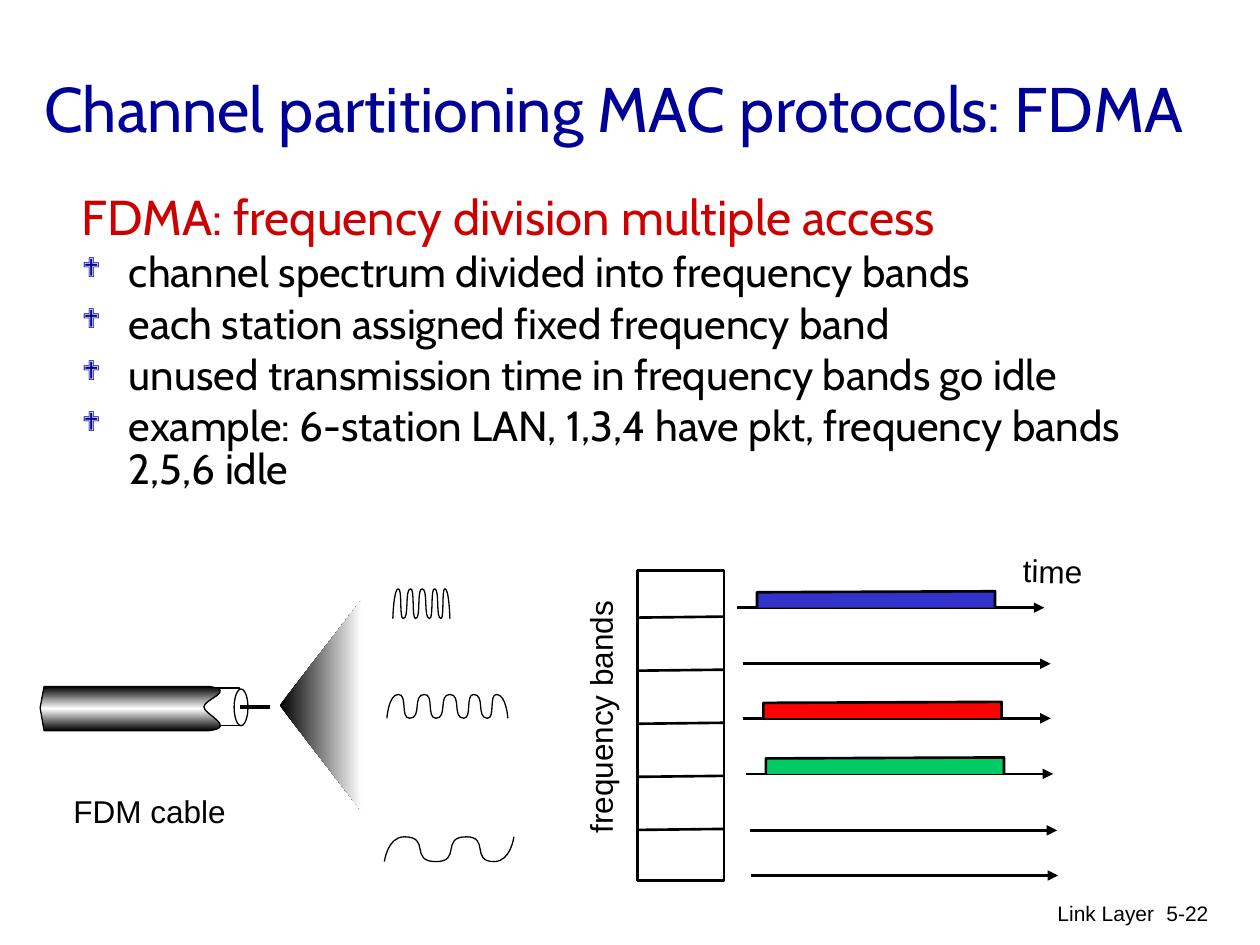
from lxml import etree
from pptx import Presentation
from pptx import util as u
from pptx.dml.color import RGBColor
from pptx.enum import shapes, text
from pptx.oxml.ns import qn

BLACK, WHITE, NAVY, CRIMSON = "000000", "FFFFFF", "000099", "CC0000"

# All lengths are centimetres.
TITLE = "Channel partitioning MAC protocols: FDMA"
HEADING = "FDMA: frequency division multiple access"
BULLETS = [
    "channel spectrum divided into frequency bands",
    "each station assigned fixed frequency band",
    "unused transmission time in frequency bands go idle",
    "example: 6-station LAN, 1,3,4 have pkt, frequency bands 2,5,6 idle",
]
# text, box, rotation
LABELS = [
    ("frequency bands", (9.5, 13.94, 5.21, 1.02), 270),
    ("time", (20.37, 11, 1.7, 1.02), 1.1),
    ("FDM cable", (1.23, 15.84, 3.58, 1.02), 0),
]
FOOTERS = [
    ("Link Layer", (15.47, 18.02, 8.05, 1.27)),
    ("5-22", (22.73, 18.02, 1.88, 1.27)),
]
BAND_BOX = (12.85, 11.5, 1.75, 6.25)
FIRST_DIVIDER, BAND_STEP, DIVIDERS = 12.45, 1.07, 5
# left, y, colour of the packet sent in this band
TIMELINES = [
    (14.85, 12.25, "3333CC"),
    (14.98, 13.38, None),
    (14.98, 14.48, "FF0000"),
    (15.03, 15.6, "00CC66"),
    (15.11, 16.74, None),
    (15.13, 17.65, None),
]
TIMELINE_W, PACKET_DX, PACKET_W, PACKET_H = 6.2, 0.41, 4.8, 0.31
# turning points from left to right, top, bottom
WAVES = [
    ([7.8, 8.03, 8.26, 8.56, 8.79, 9.07, 9.35, 9.55, 9.83, 10.01, 10.24],
     14, 14.48),
    ([7.92, 8.03, 8.13, 8.28, 8.38, 8.51, 8.66, 8.76, 8.89, 8.97, 9.07],
     11.87, 12.47),
    ([7.75, 8.15, 8.79, 9.4, 9.96, 10.36], 16.87, 17.37),
]
BEND = 0.85  # reach of a wave's curve handles, as a share of the half wave
CONE = [(7.29, 12.09), (5.64, 14.22), (7.29, 16.36)]
TUBE_LEFT = [(0.89, 13.84), (0.81, 14.27), (0.89, 14.73), (4.22, 14.73)]
TUBE_CUT = [  # two curves: handle, handle, end
    (4.78, 14.66), (4.11, 14.4), (4.11, 14.25),
    (4.11, 14.1), (4.78, 13.92), (4.22, 13.84),
]

prs = Presentation()
prs.slide_width, prs.slide_height = u.Cm(25.4), u.Cm(19.05)
s = prs.slides.add_slide(prs.slide_layouts[6])


def rgb(value):
    return RGBColor.from_string(value)


def cm(values):
    return [u.Cm(v) for v in values]


def style(sp, fill=None, line=BLACK, width=1.5):
    sp.shadow.inherit = False
    if fill:
        sp.fill.solid()
        sp.fill.fore_color.rgb = rgb(fill)
    else:
        sp.fill.background()
    if line:
        sp.line.color.rgb = rgb(line)
        sp.line.width = u.Pt(width)
    else:
        sp.line.fill.background()
    return sp


def add_gradient(sp, colours, angle):
    """Fill with evenly spaced colour stops."""
    sp.fill.gradient()
    sp.fill.gradient_angle = angle
    stops = sp._element.spPr.find(".//" + qn("a:gsLst"))
    for old in list(stops):
        stops.remove(old)
    for i, colour in enumerate(colours):
        pos = str(100000 * i // (len(colours) - 1))
        stop = etree.SubElement(stops, qn("a:gs"), pos=pos)
        etree.SubElement(stop, qn("a:srgbClr"), val=colour)


def add_shape(kind, box, fill, width):
    return style(s.shapes.add_shape(kind, *cm(box)), fill, width=width)


def add_outline(corners, curves=(), close=True):
    """Straight corners, then cubic curves given as handle, handle, end."""
    pts = [cm(p) for p in [*corners, *curves]]
    fb = s.shapes.build_freeform(*pts[0])
    fb.add_line_segments(pts[1:], close=close)
    sp = fb.convert_to_shape()
    segments = list(sp._element.spPr.iter(qn("a:lnTo")))[len(corners) - 1:]
    for trio in zip(*[iter(segments)] * 3):
        curve = etree.Element(qn("a:cubicBezTo"))
        trio[0].addprevious(curve)
        for segment in trio:
            curve.append(segment[0])
            segment.getparent().remove(segment)
    return sp


def add_line(start, end, width=1.5, arrow=False):
    c = s.shapes.add_connector(shapes.MSO_CONNECTOR.STRAIGHT, *cm(start + end))
    c.line.color.rgb = rgb(BLACK)
    c.line.width = u.Pt(width)
    if arrow:
        ln = c.line._get_or_add_ln()
        etree.SubElement(ln, qn("a:tailEnd"), type="triangle")
    etree.SubElement(c._element.spPr, qn("a:effectLst"))


def add_wave(xs, top, bottom):
    ys = [top if i % 2 else bottom for i in range(len(xs))]
    curves = []
    last = len(xs) - 2
    for i in range(last + 1):
        x0, x1, y0, y1 = xs[i], xs[i + 1], ys[i], ys[i + 1]
        reach = BEND * (x1 - x0)
        bend0 = x0 if i == 0 else x0 + reach
        bend1 = x1 if i == last else x1 - reach
        curves += [(bend0, y0), (bend1, y1), (x1, y1)]
    style(add_outline([(xs[0], bottom)], curves, close=False), width=0.75)


def add_text(lines, box, size, font="Arial", colour=BLACK, wrap=True):
    sp = s.shapes.add_textbox(*cm(box))
    tf = sp.text_frame
    tf.word_wrap = wrap
    tf.text = "\n".join(lines)
    for p in tf.paragraphs:
        for r in p.runs:
            r.font.name, r.font.size = font, u.Pt(size)
            r.font.color.rgb = rgb(colour)
    return sp


def add_bullet(p):
    pPr = p._p.get_or_add_pPr()
    colour = etree.SubElement(pPr, qn("a:buClr"))
    etree.SubElement(colour, qn("a:srgbClr"), val=NAVY)
    etree.SubElement(pPr, qn("a:buSzPct"), val="65000")
    etree.SubElement(pPr, qn("a:buFont"), typeface="Wingdings")
    etree.SubElement(pPr, qn("a:buChar"), char="❖")
    pPr.set("marL", str(u.Cm(0.95)))
    pPr.set("indent", str(-u.Cm(0.95)))


# Text
title = add_text([TITLE], (0.64, 0.58, 23.98, 3.18), 36, "Cabin", NAVY)
title.text_frame.vertical_anchor = text.MSO_ANCHOR.MIDDLE
body = add_text([HEADING, *BULLETS], (1.4, 3.81, 22.83, 12.9), 24, "Cabin")
heading, *items = body.text_frame.paragraphs
heading.line_spacing = 0.85
heading.runs[0].font.size = u.Pt(28)
heading.runs[0].font.color.rgb = rgb(CRIMSON)
for p in items:
    p.line_spacing, p.space_before = 0.85, u.Pt(4.8)
    add_bullet(p)
for words, box in FOOTERS:
    sp = add_text([words], box, 12)
    sp.text_frame.paragraphs[0].alignment = text.PP_ALIGN.RIGHT

# Frequency bands and their timelines
add_shape(shapes.MSO_SHAPE.RECTANGLE, BAND_BOX, WHITE, 1.5)
for i in range(DIVIDERS):
    y = FIRST_DIVIDER + i * BAND_STEP
    add_line((BAND_BOX[0], y), (BAND_BOX[0] + BAND_BOX[2], y - 0.02))
for x, y, colour in TIMELINES:
    add_line((x, y), (x + TIMELINE_W, y), arrow=True)
    if colour:
        x0, x1, top = x + PACKET_DX, x + PACKET_DX + PACKET_W, y - PACKET_H
        packet = [(x0, y), (x0, top), (x1, top - 0.02), (x1, y)]
        style(add_outline(packet, close=False), colour)
for words, box, rotation in LABELS:
    add_text([words], box, 18, wrap=False).rotation = rotation

# Cable and the signals it carries
add_gradient(style(add_outline(CONE), line=None), [BLACK, WHITE], 0)
add_shape(shapes.MSO_SHAPE.RECTANGLE, (4.09, 13.87, 0.74, 0.76), WHITE, 0.75)
tube = style(add_outline(TUBE_LEFT, TUBE_CUT), width=0.75)
add_gradient(tube, [BLACK, WHITE, BLACK], 90)
add_shape(shapes.MSO_SHAPE.OVAL, (4.72, 13.89, 0.28, 0.74), WHITE, 0.75)
add_line((4.83, 14.25), (5.44, 14.25), 2.25)
for wave in WAVES:
    add_wave(*wave)

prs.save("out.pptx")
